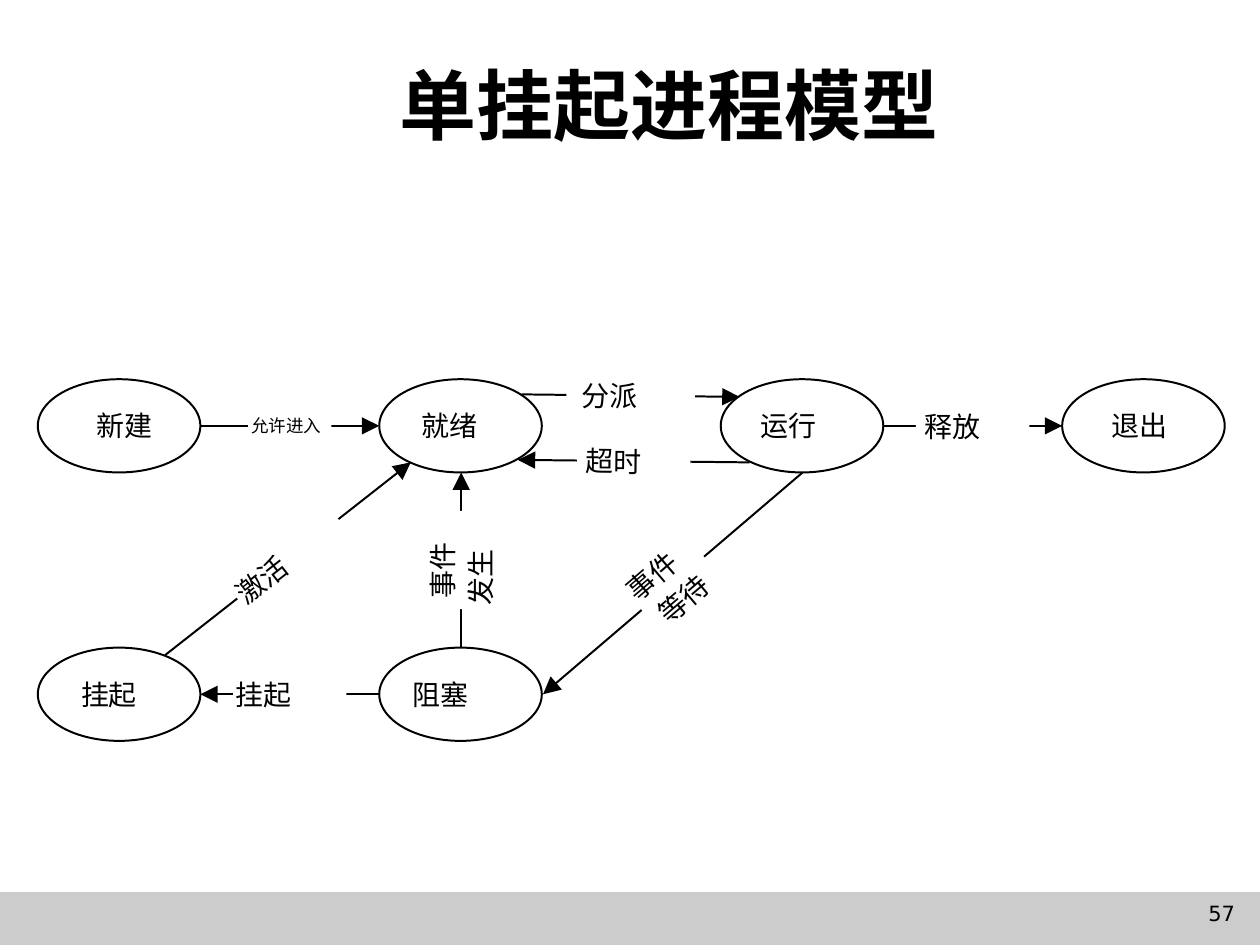
from dataclasses import dataclass
from math import atan2, cos, degrees, radians, sin

from lxml import etree
from pptx import Presentation
from pptx import util as u
from pptx.dml.color import RGBColor
from pptx.enum import shapes, text
from pptx.oxml import ns


@dataclass(frozen=True)
class Theme:
    """Colours, fonts and type sizes."""
    ink: RGBColor = RGBColor(0, 0, 0)
    paper: RGBColor = RGBColor(255, 255, 255)
    band: RGBColor = RGBColor(0xCC, 0xCC, 0xCC)
    title_font: str = "Times New Roman"
    label_font: str = "Noto Sans CJK SC"
    number_font: str = "DejaVu Sans"
    title_size: int = 44
    label_size: int = 16
    small_size: int = 10
    number_size: int = 12
    line_width: float = 1.13


THEME = Theme()
STATE_SIZE = (1.29, 0.74)
STATE_STEP = (2.71, 2.13)
LINE_PITCH = 0.3

# name, column, row, shift of the name from the middle of the oval
STATES = [
    ("新建", 0, 0, 0.04), ("就绪", 1, 0, -0.09), ("运行", 2, 0, -0.11),
    ("退出", 3, 0, -0.03), ("挂起", 0, 1, -0.08), ("阻塞", 1, 1, -0.16),
]
# start, end, gap in the line, type size, (label line, shift along the line)
TRANSITIONS = [
    ((1.29, 0.37), (2.71, 0.37), (0.66, 0.32), THEME.small_size, [("允许进入", -0.03)]),
    ((3.84, 0.12), (5.57, 0.14), (1.02, 0.32), THEME.label_size, [("分派", -0.17)]),
    ((5.65, 0.66), (3.81, 0.64), (0.9, 0.32), THEME.label_size, [("超时", -0.16)]),
    ((6.07, 0.74), (4.01, 2.5), (0.65, 0.61), THEME.label_size, [("事件", -0.09), ("等待", -0.02)]),
    ((3.36, 2.13), (3.36, 0.74), (0.78, 0.61), THEME.label_size, [("事件", -0.08), ("发生", -0.14)]),
    ((6.71, 0.37), (8.13, 0.37), (0.9, 0.32), THEME.label_size, [("释放", -0.16)]),
    ((2.71, 2.5), (1.29, 2.5), (0.9, 0.32), THEME.label_size, [("挂起", -0.21)]),
    ((1.01, 2.19), (2.96, 0.66), (1.02, 0.32), THEME.label_size, [("激活", -0.27)]),
]


def centred(middle, size):
    """Return left, top, width and height of a box around a middle point."""
    return [u.Inches(v) for v in (middle[0] - size[0] / 2, middle[1] - size[1] / 2, *size)]


def write(shape, words, font, size, align=text.PP_ALIGN.CENTER, bold=False):
    """Put one formatted paragraph in the middle of a shape."""
    frame = shape.text_frame
    frame.vertical_anchor = text.MSO_ANCHOR.MIDDLE
    para = frame.paragraphs[0]
    para.text = words
    para.alignment = align
    para.font.name = font
    para.font.size = u.Pt(size)
    para.font.bold = bold
    para.font.color.rgb = THEME.ink


def clear_insets(frame):
    """Take away the insets and the wrapping of a text frame."""
    frame.margin_left = frame.margin_right = frame.margin_top = frame.margin_bottom = 0
    frame.word_wrap = False


def add_filled(page, kind, box, color):
    """Add a flat shape without outline."""
    shape = page.shapes.add_shape(kind, *box)
    shape.shadow.inherit = False
    shape.fill.solid()
    shape.fill.fore_color.rgb = color
    shape.line.fill.background()
    return shape


def add_state(page, box, name, shift):
    """Draw one process state as a named oval."""
    oval = add_filled(page, shapes.MSO_SHAPE.OVAL, box, THEME.paper)
    oval.line.color.rgb = THEME.ink
    oval.line.width = u.Pt(THEME.line_width)
    clear_insets(oval.text_frame)
    oval.text_frame.margin_left = u.Inches(max(0, 2 * shift))
    oval.text_frame.margin_right = u.Inches(max(0, -2 * shift))
    write(oval, name, THEME.label_font, THEME.label_size)


def add_arrow(page, start, end):
    """Draw a straight line with an arrowhead at its end."""
    arrow = page.shapes.add_connector(
        shapes.MSO_CONNECTOR.STRAIGHT, *[u.Inches(v) for v in (*start, *end)])
    arrow.line.color.rgb = THEME.ink
    arrow.line.width = u.Pt(THEME.line_width)
    etree.SubElement(arrow.line._get_or_add_ln(), ns.qn("a:tailEnd"),
                     type="triangle", w="lg", len="lg")
    etree.SubElement(arrow._element.spPr, ns.qn("a:effectLst"))


def add_transition(page, start, end, gap, size, lines):
    """Draw an arrow broken at its middle by a label that follows its slope."""
    add_arrow(page, start, end)
    middle = [(a + b) / 2 for a, b in zip(start, end)]
    slope = degrees(atan2(end[1] - start[1], end[0] - start[0]))
    angle = (slope + 90) % 180 - 90
    turn = radians(angle)
    mask = add_filled(page, shapes.MSO_SHAPE.RECTANGLE, centred(middle, gap), THEME.paper)
    mask.rotation = angle
    for index, (words, along) in enumerate(lines):
        down = (index - (len(lines) - 1) / 2) * LINE_PITCH
        place = (middle[0] + along * cos(turn) - down * sin(turn),
                 middle[1] + along * sin(turn) + down * cos(turn))
        width = len(words) * size / 72
        label = page.shapes.add_textbox(*centred(place, (width, LINE_PITCH)))
        label.rotation = angle
        clear_insets(label.text_frame)
        write(label, words, THEME.label_font, size)


def add_diagram(page, left, top):
    """Draw the states and their transitions from a top left corner."""
    width, height = STATE_SIZE
    for name, column, row, shift in STATES:
        middle = (left + column * STATE_STEP[0] + width / 2,
                  top + row * STATE_STEP[1] + height / 2)
        add_state(page, centred(middle, STATE_SIZE), name, shift)
    for start, end, gap, size, lines in TRANSITIONS:
        add_transition(page, (left + start[0], top + start[1]),
                       (left + end[0], top + end[1]), gap, size, lines)


def add_title(page, left, top, width, height):
    """Place and format the title placeholder."""
    title = page.shapes.title
    title.left, title.top, title.width, title.height = left, top, width, height
    write(title, "单挂起进程模型", THEME.title_font, THEME.title_size, bold=True)


def add_footer(page, left, top, width, height):
    """Draw the bottom band with the page number at its right."""
    add_filled(page, shapes.MSO_SHAPE.RECTANGLE, (left, top, width, height), THEME.band)
    number_width = u.Inches(0.54)
    number = page.shapes.add_textbox(
        left + width - number_width - u.Inches(0.1), top + u.Inches(0.02),
        number_width, u.Inches(0.3))
    number.text_frame.word_wrap = True
    write(number, "57", THEME.number_font, THEME.number_size, text.PP_ALIGN.RIGHT)


def main():
    """Build the slide and save it."""
    deck = Presentation()
    deck.slide_width, deck.slide_height = u.Inches(10), u.Inches(7.5)
    page = deck.slides.add_slide(deck.slide_layouts.get_by_name("Title Only"))
    page.background.fill.solid()
    page.background.fill.fore_color.rgb = THEME.paper
    add_footer(page, u.Inches(0), u.Inches(7.08), u.Inches(10), u.Inches(0.42))
    add_diagram(page, 0.3, 3.01)
    add_title(page, u.Inches(1.06), u.Inches(0.33), u.Inches(8.51), u.Inches(0.98))
    deck.save("out.pptx")


if __name__ == "__main__":
    main()
